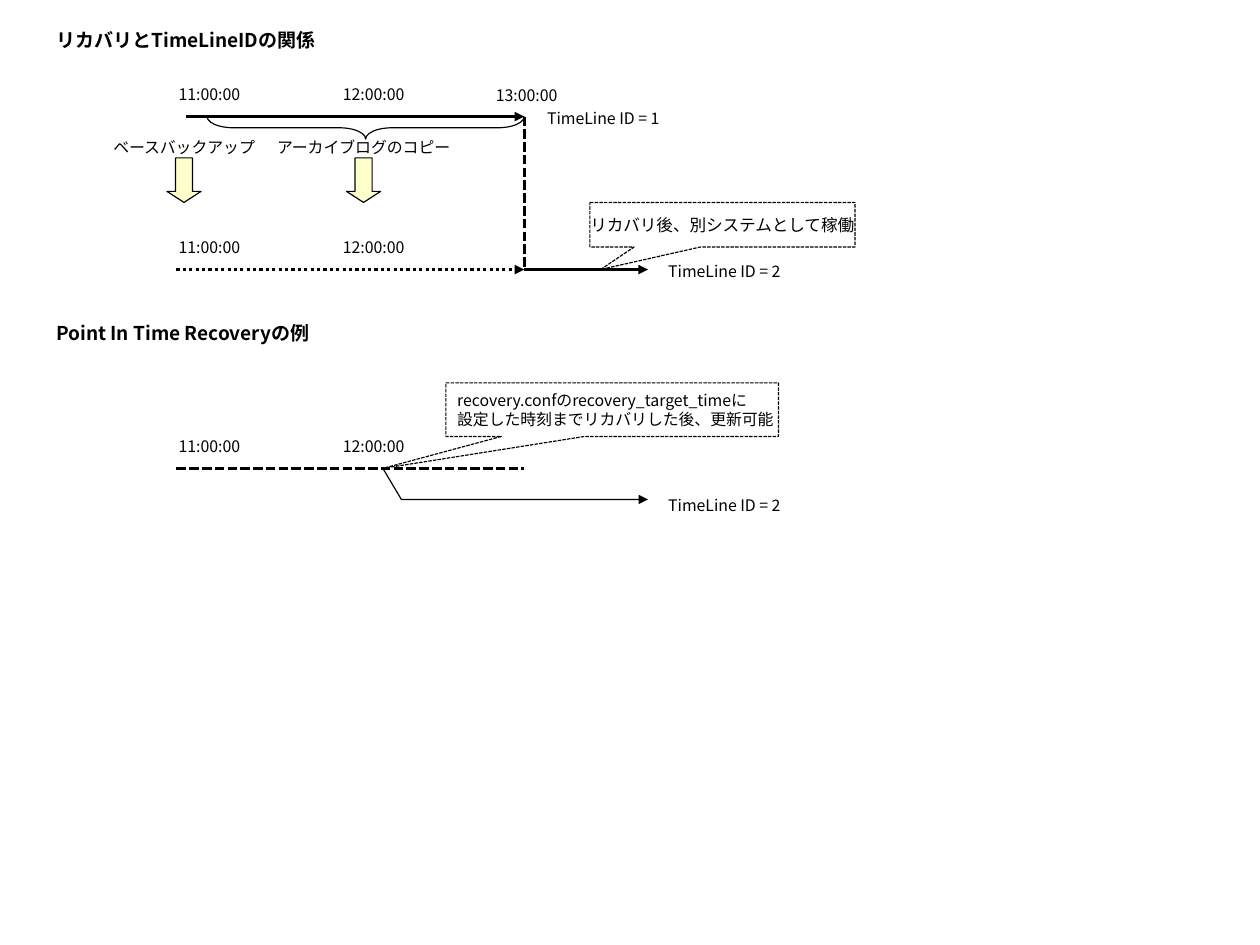
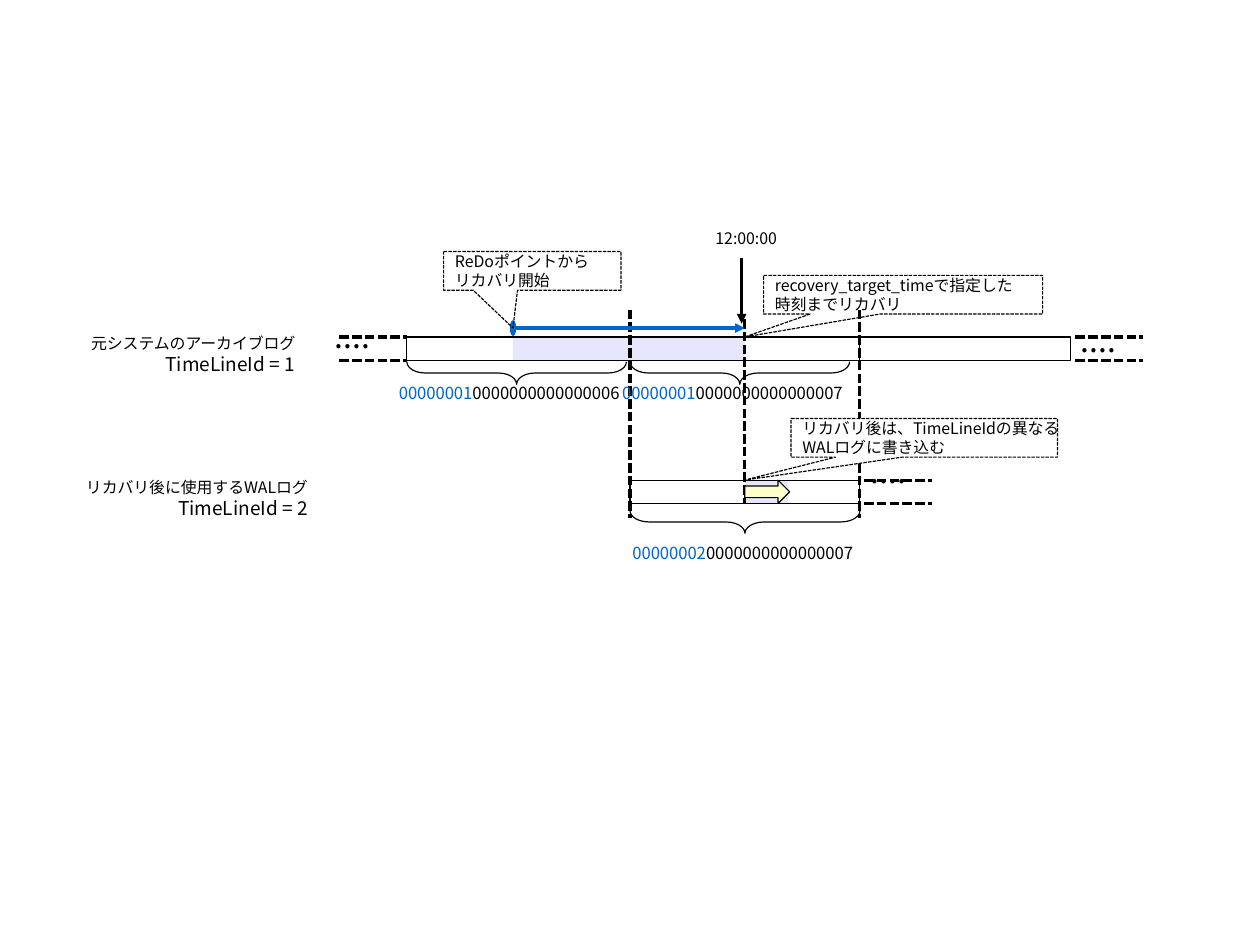
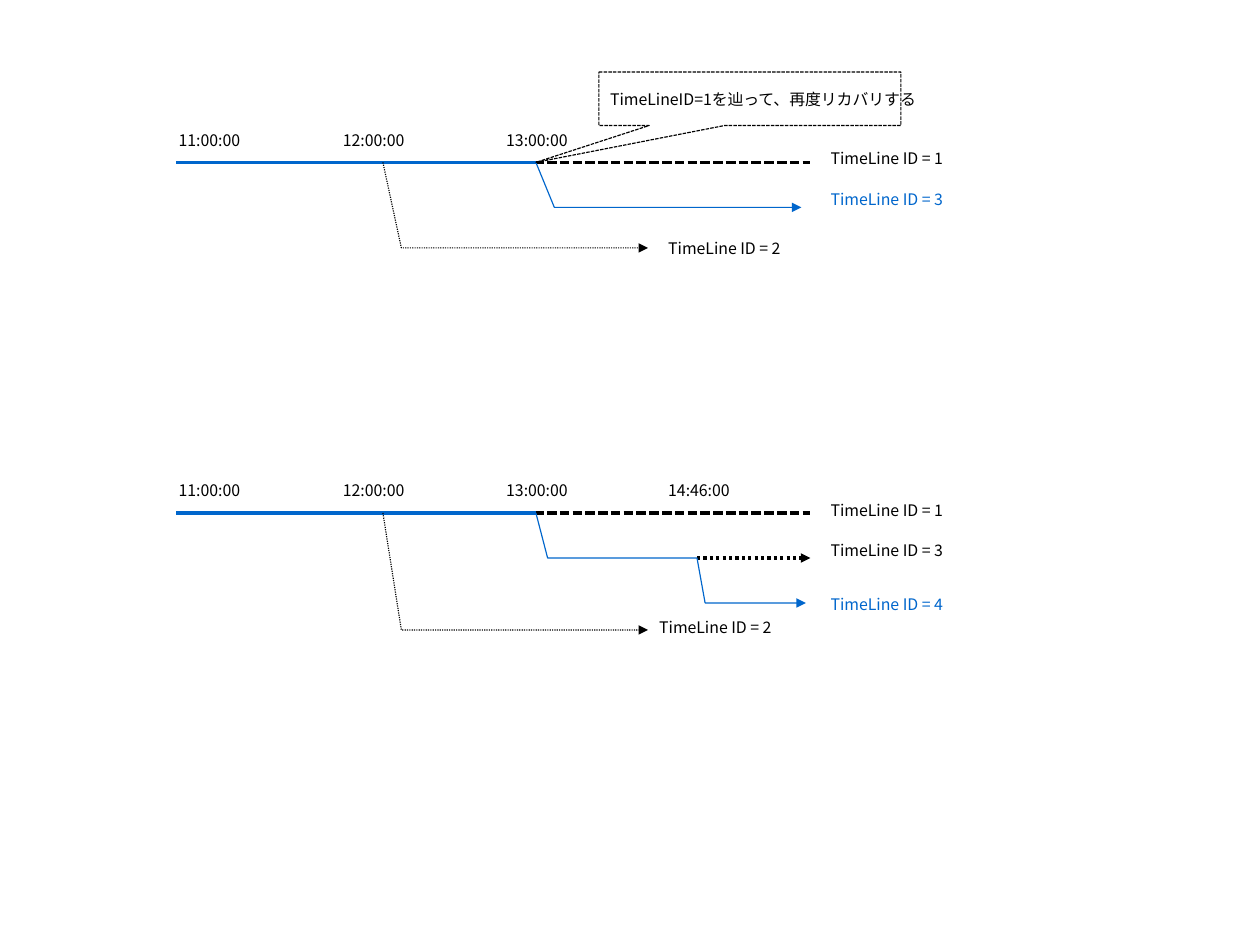
"""Build three slides on point in time recovery and timeline IDs."""
from lxml.etree import SubElement
from pptx import Presentation
from pptx.dml.color import RGBColor
from pptx.enum.dml import MSO_LINE
from pptx.enum.shapes import MSO_CONNECTOR, MSO_SHAPE
from pptx.enum.text import MSO_ANCHOR, PP_ALIGN
from pptx.oxml.ns import qn
from pptx.util import Cm, Pt

FONT = "Noto Sans CJK JP"
HUES = {"ink": "000000", "blue": "0066CC", "lilac": "E6E6FF", "cream": "FFFFCC", "white": "FFFFFF"}
DASHES = {"solid": None, "dash": MSO_LINE.SQUARE_DOT, "dot": MSO_LINE.ROUND_DOT}
SIDES = {"left": PP_ALIGN.LEFT, "mid": PP_ALIGN.CENTER, "right": PP_ALIGN.RIGHT}
TIP = {"tailEnd": {"type": "triangle"}}
SPAN = {"headEnd": {"type": "oval", "w": "lg", "len": "sm"}, **TIP}
STYLES = {
    "title": {"wide": 6.73, "size": 12, "bold": True},
    "time": {"wide": 2},
    "tag": {"wide": 3.15},
    "name": {"wide": 5, "side": "mid"},
    "log": {"wide": 5.92, "size": 10.5, "side": "right"},
    "row": {"wide": 5.08, "side": "right"},
    "wide row": {"wide": 5.54, "side": "right"},
    "dots": {"wide": 2, "size": 20},
    "call": {},
    "big call": {"size": 10.5, "side": "mid"},
}

HOURS = {"11:00:00": 3.72, "12:00:00": 7.37, "13:00:00": 11, "14:46:00": 14.6}
START, NOON, ONE, LATE, STOP, END = 3.92, 8.51, 11.91, 15.49, 14.4, 18.01
NEAR, FAR = 14.6, 18.21

LIVE, COPY, PITR, EDGE = 2.59, 5.99, 10.41, 11.65
FIRST, AGAIN, DROP = 3.61, 11.4, 1
OLD, NEW, HIGH = 7.49, 10.67, 0.52
HEAD, MID, TAIL, LAST = 9.04, 14, 19.1, 23.8
REDO, NOW, FLOW = 11.4, (MID + TAIL) / 2, 7.29
UP, DOWN = 6.88, 11.51
RAIL = 1.6


def plain(style, left, top, text):
    return (style, left, top, [[(text, "ink")]])


def tag(left, top, num, hue="ink"):
    return ("tag", left, top, [[(f"TimeLine ID = {num}", hue)]])


def times(axis, last):
    return [plain("time", left, axis - 0.84, text) for text, left in HOURS.items() if text <= last]


def row(style, left, top, text, num):
    return (style, left, top, [[(text, "ink")], [(f"TimeLineId = {num}", "ink", 12)]])


def log(left, wide, top, num, seg):
    return ("log", left + wide - 5.82, top,
            [[(f"{num:08d}", "blue"), (f"{seg:016d}", "ink")]])


def flat(left, right, top, *look):
    return (left, top, right, top, *look)


def drop(left, top, *look):
    return (left, top, left, *look)


STEPS = {4.09: "ベースバックアップ", 8.08: "アーカイブログのコピー"}
LOGS = [(HEAD, 8.04, 4.88, 8.38, 1, 6), (MID, 8.04, 4.88, 8.38, 1, 7),
        (MID, 11.35, 5.11, 11.94, 2, 7)]
GAPS = [(HEAD - RAIL, OLD, 0.58, 0.25), (LAST, OLD, 0.48, 0.03), (TAIL, NEW, 0.76, 0)]

RECOVER = {
    "lines": [
        flat(START + 0.22, EDGE, LIVE, "ink", "solid", TIP),
        flat(START, EDGE, COPY, "ink", "dot", TIP),
        flat(EDGE, STOP, COPY, "ink", "solid", TIP),
        drop(EDGE, LIVE, COPY, "ink", "dash"),
        flat(START, EDGE, PITR, "ink", "dash"),
    ],
    "bends": [(NOON, PITR, 0.69, STOP, "ink", "solid", TIP)],
    "braces": [(4.6, LIVE, EDGE - 4.6)],
    "arrows": [(MSO_SHAPE.DOWN_ARROW, mid - 0.38, 3.51, 0.76, 0.99, 0.325) for mid in STEPS],
    "calls": [
        ((13.11, 4.5, 5.89, 0.99), (13.35, COPY), None, "big call",
         ["リカバリ後、別システムとして稼働"]),
        ((9.91, 8.51, 7.39, 1.19), (NOON, PITR), None, "call",
         ["recovery.confのrecovery_target_timeに", "設定した時刻までリカバリした後、更新可能"]),
    ],
    "texts": [
        plain("title", 1, 0.51, "リカバリとTimeLineIDの関係"),
        plain("title", 1, 7.01, "Point In Time Recoveryの例"),
        *[mark for axis in (LIVE, COPY, PITR) for mark in times(axis, "12:00:00")],
        plain("time", 10.77, LIVE - 0.82, "13:00:00"),
        *[plain("name", mid - 2.5, 2.93, text) for mid, text in STEPS.items()],
        tag(ONE, LIVE - 0.3, 1), tag(NEAR, COPY - 0.3, 2), tag(NEAR, 10.9, 2),
    ],
}

SWITCH = {
    "bars": [(REDO, MID, OLD), (MID, NOW, OLD), (NOW, NOW + 0.97, NEW)],
    "frames": {"old": (HEAD, TAIL, OLD), "next": (TAIL, LAST, OLD), "new": (MID, TAIL, NEW)},
    "lines": [
        drop(16.48, 5.74, 7.19, "ink", "solid", TIP),
        *[drop(side, UP, DOWN, "ink", "dash") for side in (MID, TAIL)],
        drop(NOW, 7.09, NEW + HIGH, "ink", "dash", {}, "new"),
        flat(REDO, NOW, FLOW, "blue", "solid", SPAN),
        *[flat(left + 0.1, left + RAIL, top + gap, "ink", "dash")
          for left, top, *rest in GAPS for gap in (0, HIGH)],
    ],
    "braces": [(left, top, wide) for left, top, wide, *rest in LOGS],
    "arrows": [(MSO_SHAPE.RIGHT_ARROW, NOW, NEW, 1, HIGH, 0.5)],
    "calls": [
        ((16.97, 6.12, 6.2, 0.86), (NOW, OLD), None, "call",
         ["recovery_target_timeで指定した", "時刻までリカバリ"]),
        ((9.86, 5.59, 3.94, 0.86), (REDO, FLOW), None, "call",
         ["ReDoポイントから", "リカバリ開始"]),
        ((17.58, 9.3, 5.92, 0.86), (NOW, NEW), "white", "call",
         ["リカバリ後は、TimeLineIdの異なる", "WALログに書き込む"]),
    ],
    "texts": [
        plain("time", 15.65, 4.95, "12:00:00"),
        row("row", 1.73, 7.29, "元システムのアーカイブログ", 1),
        row("wide row", 1.55, 10.49, "リカバリ後に使用するWALログ", 2),
        *[log(left, wide, *rest) for left, top, wide, *rest in LOGS],
        *[plain("dots", left - back, top - lift, "....") for left, top, lift, back in GAPS],
    ],
}

BRANCH = {
    "lines": [
        *[flat(START, *look) for axis in (FIRST, AGAIN)
          for look in ((END, axis, "ink", "dash"), (ONE, axis, "blue"))],
        flat(LATE, END, AGAIN + DROP, "ink", "dot", TIP),
    ],
    "bends": [
        (NOON, FIRST, 1.9, STOP, "ink", "dot", TIP),
        (ONE, FIRST, DROP, 17.81, "blue", "solid", TIP),
        (NOON, AGAIN, 2.6, STOP, "ink", "dot", TIP),
        (ONE, AGAIN, DROP, LATE, "blue", "solid", {}, 0.26),
        (LATE, AGAIN + DROP, DROP, 17.91, "blue", "solid", TIP, 0.18),
    ],
    "calls": [((13.31, 1.6, 6.71, 1.19), (ONE, FIRST), None, "call",
               ["TimeLineID=1を辿って、再度リカバリする"])],
    "texts": [
        *times(FIRST, "13:00:00"), *times(AGAIN, "14:46:00"),
        tag(FAR, 3.18, 1), tag(FAR, 4.09, 3, "blue"), tag(NEAR, 5.18, 2),
        tag(FAR, 11, 1), tag(FAR, 11.89, 3), tag(FAR, 13.08, 4, "blue"),
        tag(STOP, 13.59, 2),
    ],
}


def rgb(hue):
    return RGBColor.from_string(HUES[hue])


def put(obj, vals):
    for key, val in vals.items():
        setattr(obj, key, val)


def stroke(item, hue="ink", dash="solid", ends=None):
    item.line.color.rgb = rgb(hue)
    put(item.line, {"width": 0, "dash_style": DASHES[dash]})
    edge = item._element.spPr.find(qn("a:ln"))
    for key, vals in (ends or {}).items():
        SubElement(edge, qn("a:" + key), vals)


def paint(item, hue=None):
    item.shadow.inherit = False
    if hue:
        item.fill.solid()
        item.fill.fore_color.rgb = rgb(hue)
    else:
        item.fill.background()


def shape(page, kind, box, adjs=()):
    item = page.shapes.add_shape(kind, *map(Cm, box))
    for pos, val in enumerate(adjs):
        item.adjustments[pos] = val
    return item


def block(page, left, right, top):
    return shape(page, MSO_SHAPE.RECTANGLE, (left, top, right - left, HIGH))


def write(frame, style, paras):
    look = STYLES[style]
    for pos, runs in enumerate(paras):
        para = frame.add_paragraph() if pos else frame.paragraphs[0]
        para.alignment = SIDES[look.get("side", "left")]
        for text, hue, *size in runs:
            run = para.add_run()
            run.text = text
            points = size[0] if size else look.get("size", 10)
            put(run.font, {"name": FONT, "bold": look.get("bold", False), "size": Pt(points)})
            run.font.color.rgb = rgb(hue)
            SubElement(run.font._element, qn("a:ea"), typeface=FONT)


def line(page, frames, ax, ay, bx, by, hue, dash="solid", ends=None, join=None):
    item = page.shapes.add_connector(MSO_CONNECTOR.STRAIGHT, *map(Cm, (ax, ay, bx, by)))
    stroke(item, hue, dash, ends)
    SubElement(item._element.spPr, qn("a:effectLst"))
    if join:
        item.end_connect(frames[join], 2)


def bend(page, left, top, fall, right, hue, dash, ends, lean=0.41):
    low = Cm(top + fall)
    pen = page.shapes.build_freeform(Cm(left), Cm(top))
    pen.add_line_segments([(Cm(left + lean), low), (Cm(right), low)], close=False)
    item = pen.convert_to_shape()
    paint(item)
    stroke(item, hue, dash, ends)


def brace(page, left, top, wide, high=0.5):
    turn = (wide - high) / 2
    box = (left + turn, top - turn, high, wide)
    item = shape(page, MSO_SHAPE.RIGHT_BRACE, box, (wide / 12 / high, 0.5))
    item.rotation = 90
    paint(item)
    stroke(item)


def call(page, box, tip, hue, style, rows):
    left, top, wide, high = box
    goal, floor = tip
    adjs = ((goal - left) / wide - 0.5, (floor - top) / high - 0.5)
    item = shape(page, MSO_SHAPE.RECTANGULAR_CALLOUT, box, adjs)
    paint(item, hue)
    stroke(item, dash="dash")
    put(item.text_frame, {"word_wrap": False, "vertical_anchor": MSO_ANCHOR.MIDDLE})
    write(item.text_frame, style, [[(text, "ink")] for text in rows])


def label(page, style, left, top, paras):
    box = (left, top, STYLES[style]["wide"], 0.75 * len(paras))
    item = page.shapes.add_textbox(*map(Cm, box))
    item.text_frame.word_wrap = True
    write(item.text_frame, style, paras)


def draw(page, data):
    for args in data.get("bars", []):
        item = block(page, *args)
        paint(item, "lilac")
        item.line.fill.background()
    frames = {}
    for name, args in data.get("frames", {}).items():
        frames[name] = block(page, *args)
        paint(frames[name])
        stroke(frames[name])
    for args in data["lines"]:
        line(page, frames, *args)
    for kind, make in (("bends", bend), ("braces", brace), ("calls", call), ("texts", label)):
        for args in data.get(kind, []):
            make(page, *args)
    for kind, *box, head in data.get("arrows", []):
        item = shape(page, kind, box, (0.5, head))
        paint(item, "cream")
        stroke(item)


def main():
    deck = Presentation()
    put(deck, {"slide_width": Cm(28), "slide_height": Cm(21)})
    for data in (RECOVER, SWITCH, BRANCH):
        draw(deck.slides.add_slide(deck.slide_layouts[6]), data)
    deck.save("out.pptx")


if __name__ == "__main__":
    main()
